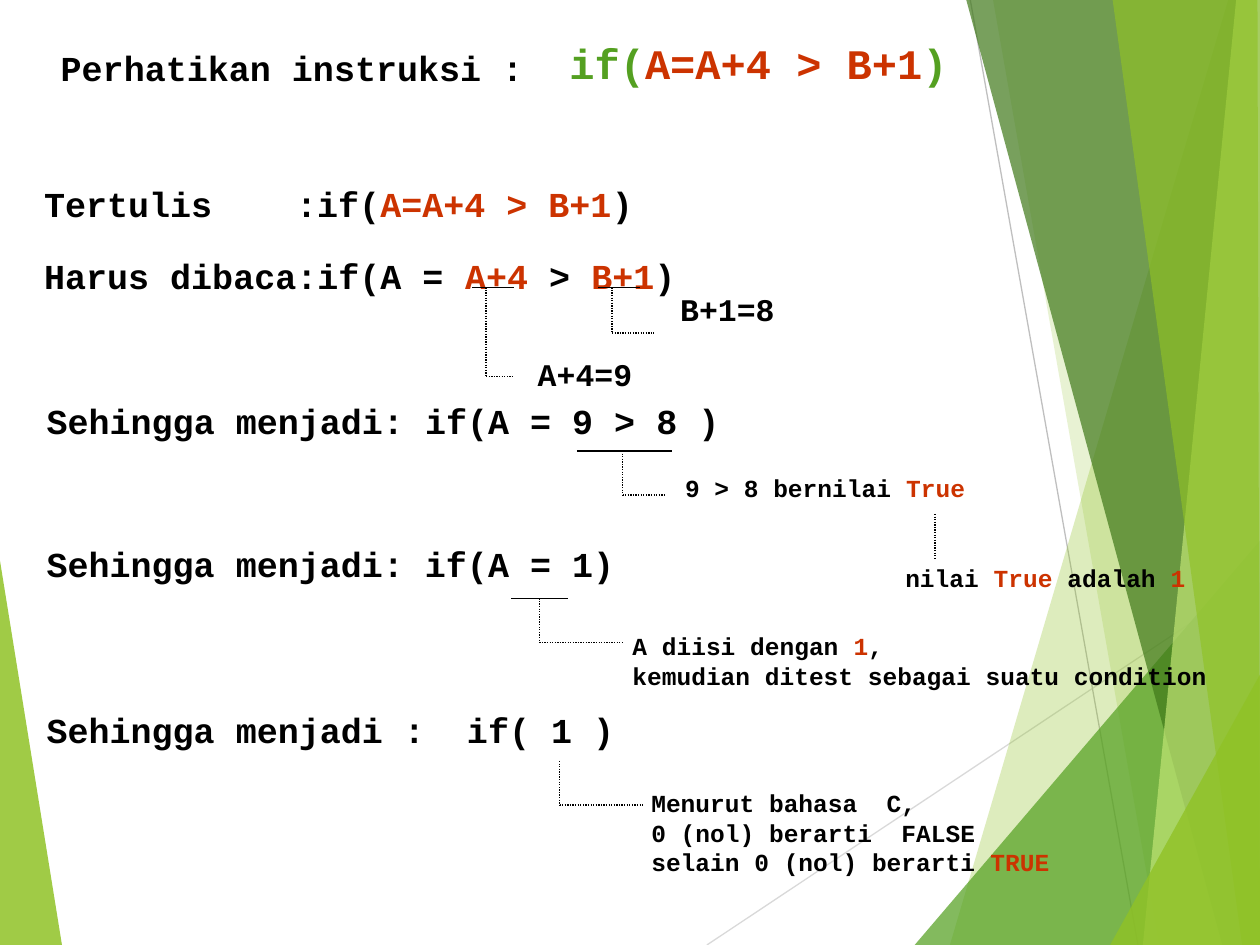
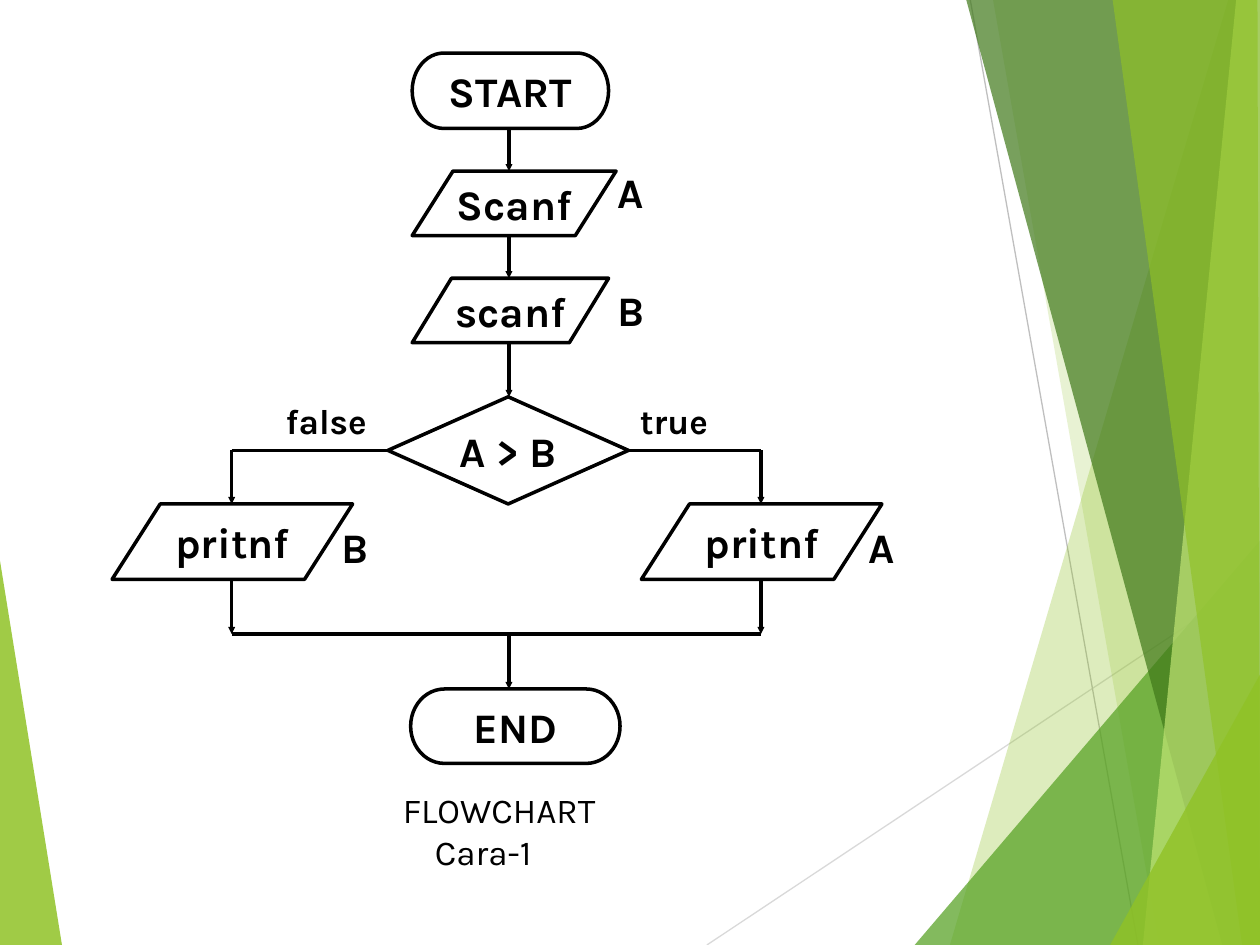
from pptx import Presentation
from pptx.dml.color import RGBColor
from pptx.enum.dml import MSO_LINE
from pptx.enum.shapes import MSO_CONNECTOR, MSO_SHAPE
from pptx.enum.text import MSO_ANCHOR, MSO_AUTO_SIZE, PP_ALIGN
from pptx.oxml.ns import qn
from pptx.util import Cm, Pt
from lxml import etree

STRAIGHT = MSO_CONNECTOR.STRAIGHT
DOTS = MSO_LINE.ROUND_DOT
PILL = MSO_SHAPE.FLOWCHART_TERMINATOR
DATA = MSO_SHAPE.FLOWCHART_DATA
TEST = MSO_SHAPE.FLOWCHART_DECISION
TOP, MIDDLE = MSO_ANCHOR.TOP, MSO_ANCHOR.MIDDLE
GROW, FIXED = MSO_AUTO_SIZE.SHAPE_TO_FIT_TEXT, MSO_AUTO_SIZE.NONE
LEFT, CENTER = PP_ALIGN.LEFT, PP_ALIGN.CENTER

WIDE, HIGH = 25.4, 19.05
ROOM = 0.5
CODE, SANS = "Courier New", "Karla"
COLORS = {
    "ink": "000000", "red": "CC3300", "green": "54A021", "lime": "90C226",
    "dark": "3F7819", "pale": "C0E474", "gray": "BFBFBF", "mist": "D9D9D9",
}


def rgb(name):
    return RGBColor.from_string(COLORS[name])


def write(frame, text, font=CODE, size=20, ink="ink", bold=True, align=LEFT,
          space=None, stop=None, anchor=TOP, wrap=True, fit=GROW):
    """Fill a frame; parts between bars are red, stop is a tab stop in cm."""
    frame.word_wrap = wrap
    frame.auto_size = fit
    frame.vertical_anchor = anchor
    for i, line in enumerate(text.split("\n")):
        para = frame.add_paragraph() if i else frame.paragraphs[0]
        para.alignment = align
        if space:
            para.line_spacing = space
        if stop:
            tabs = etree.SubElement(para._p.get_or_add_pPr(), qn("a:tabLst"))
            etree.SubElement(tabs, qn("a:tab"), pos=str(Cm(stop)), algn="l")
        for j, part in enumerate(line.split("|")):
            if not part:
                continue
            run = para.add_run()
            run.text = part
            run.font.name, run.font.size, run.font.bold = font, Pt(size), bold
            run.font.color.rgb = rgb("red" if j % 2 else ink)


def measure(text, size, space=1):
    """Width and height in cm of a box that holds monospaced text."""
    lines = text.replace("|", "").split("\n")
    em = size * 2.54 / 72
    return (max(map(len, lines)) * 0.6 * em + 0.51,
            len(lines) * 1.2 * em * space + 0.25)


def label(slide, x, y, text, wide=None, size=20, space=None, **style):
    width, height = measure(text, size, space or 1)
    box = slide.shapes.add_textbox(Cm(x), Cm(y), Cm((wide or width) + ROOM), Cm(height))
    write(box.text_frame, text, size=size, space=space, **style)


def draw(shapes, x1, y1, x2, y2, color="ink", width=0.75, dash=None, arrow=False):
    line = shapes.add_connector(STRAIGHT, Cm(x1), Cm(y1), Cm(x2), Cm(y2))
    line.line.color.rgb = rgb(color)
    line.line.width = Pt(width)
    if dash:
        line.line.dash_style = dash
    props = line.element.spPr
    if arrow:
        etree.SubElement(props.find(qn("a:ln")), qn("a:tailEnd"),
                         type="triangle", w="sm", len="sm")
    etree.SubElement(props, qn("a:effectLst"))


def facet(shapes, color, alpha, points):
    start, *rest = [(Cm(x), Cm(y)) for x, y in points]
    pen = shapes.build_freeform(*start, scale=1.0)
    pen.add_line_segments(rest, close=True)
    shape = pen.convert_to_shape()
    shape.shadow.inherit = False
    shape.line.fill.background()
    shape.fill.solid()
    shape.fill.fore_color.rgb = rgb(color)
    tone = shape.element.spPr.find(".//" + qn("a:srgbClr"))
    etree.SubElement(tone, qn("a:alpha"), val=str(alpha * 1000))


def backdrop(slide, master):
    """Draw the facets on a slide, then hand them to the master."""
    group = slide.shapes.add_group_shape()
    shapes = group.shapes

    def band(color, alpha, top, low, edge=WIDE):
        facet(shapes, color, alpha, [(top, 0), (low, HIGH), (WIDE, HIGH), (edge, 0)])

    def corner(color, alpha, low, side):
        facet(shapes, color, alpha, [(low, HIGH), (WIDE, side), (WIDE, HIGH)])

    facet(shapes, "lime", 85, [(0, 11.3), (1.25, HIGH), (0, HIGH)])
    draw(shapes, 14.25, HIGH, WIDE, 11.63, "mist")
    draw(shapes, 19.56, 0, 22.94, HIGH, "gray")
    band("lime", 30, 24.76, 19.15)
    band("lime", 20, 20.02, 23.37)
    corner("green", 72, 18.44, 10.9)
    band("dark", 70, 19.48, 24.64)
    band("pale", 70, 24.92, 23.04)
    band("lime", 65, 22.43, 25.04, 25.35)
    corner("lime", 80, 22.38, 13.6)

    master.shapes.element.append(group.element)
    for i, node in enumerate(group.element.iter(qn("p:cNvPr")), 20):
        node.set("id", str(i))


def header(slide, left, top):
    text = "Perhatikan instruksi :"
    title = slide.shapes.title
    width, height = measure(text, 20)
    title.left, title.top = Cm(left), Cm(top + 0.17)
    title.width, title.height = Cm(width + ROOM), Cm(height)
    write(title.text_frame, text)
    label(slide, left + 10.26, top, "if(|A=A+4 > B+1|)", size=24, ink="green")


def callout(slide, x, y, drop, reach, text, shift, bar=None, size=14):
    """Dotted elbow from (x, y) to a note; shift is the note's offset."""
    shapes = slide.shapes
    end, low = x + reach, y + drop
    if bar:
        draw(shapes, x - bar[0], y, x + bar[1], y)
    draw(shapes, x, y, x, low, dash=DOTS)
    if reach:
        draw(shapes, x, low, end, low, dash=DOTS)
    label(slide, end + shift[0], low + shift[1], text, size=size)


def trace(slide, left, top):
    label(slide, left, top,
          "Tertulis\t:if(|A=A+4 > B+1|)\nHarus dibaca:if(A = |A+4| > |B+1|)",
          space=1.7, stop=5.08)
    steps = [
        (4.95, "Sehingga menjadi: if(A = 9 > 8 )"),
        (7.85, "Sehingga menjadi: if(A = 1)"),
        (11.18, "Sehingga menjadi :  if( 1 )"),
    ]
    for y, text in steps:
        label(slide, left + 0.05, top + y, text)
    notes = [
        (9.16, 2.82, 1.8, 0.56, "A+4=9", (0.23, -0.55), (0.28, 0.56), 18),
        (11.7, 2.82, 0.92, 0.84, "B+1=8", (0.28, -0.99), (0.28, 0.56), 18),
        (11.91, 6.12, 0.89, 0.86, "9 > 8 bernilai |True|", (0.15, -0.56), (0.92, 0.99)),
        (18.21, 7.39, 0.89, 0, "nilai |True| adalah |1|", (-0.85, -0.02)),
        (10.23, 9.09, 0.89, 1.7,
         "A diisi dengan |1|,\nkemudian ditest sebagai suatu condition",
         (-0.07, -0.35), (0.56, 0.59)),
        (10.64, 12.37, 0.89, 1.67,
         "Menurut bahasa  C,\n0 (nol) berarti  FALSE\nselain 0 (nol) berarti |TRUE|",
         (-0.07, -0.46)),
    ]
    for x, y, *rest in notes:
        callout(slide, left + x, top + y, *rest)


def node(slide, kind, text, x, y, wide, high):
    shape = slide.shapes.add_shape(kind, Cm(x), Cm(y), Cm(wide), Cm(high))
    shape.shadow.inherit = False
    shape.fill.background()
    shape.line.color.rgb = rgb("ink")
    shape.line.width = Pt(2)
    write(shape.text_frame, text, font=SANS, size=24, align=CENTER,
          anchor=MIDDLE, wrap=False, fit=FIXED)


def flow(slide, left, top):
    axis, sides = 8.0, (2.41, 13.08)
    fork, join = 8.01, 11.71
    nodes = [
        (PILL, "START", 6.05, 0, 3.96, 1.52),
        (DATA, "Scanf", 6.05, 2.38, 4.11, 1.3),
        (DATA, "scanf", 6.05, 4.54, 3.96, 1.3),
        (TEST, "A > B", 5.56, 6.93, 4.85, 2.16),
        (DATA, "pritnf", 0, 9.09, 4.85, 1.52),
        (DATA, "pritnf", 10.67, 9.09, 4.85, 1.52),
        (PILL, "END", 6.02, 12.82, 4.22, 1.5),
    ]
    for kind, text, x, y, *size in nodes:
        node(slide, kind, text, left + x, top + y, *size)

    drops = [(axis, 1.52, 2.38), (axis, 3.68, 4.54), (axis, 5.84, 6.93),
             (axis, join, 12.82)]
    for x in sides:
        drops += [(x, fork, 9.09), (x, 10.61, join)]
    for x, y1, y2 in drops:
        draw(slide.shapes, left + x, top + y1, left + x, top + y2, width=2, arrow=True)
    for x1, x2, y in [(sides[0], 5.56, fork), (10.41, sides[1], fork), (*sides, join)]:
        draw(slide.shapes, left + x1, top + y, left + x2, top + y, width=2)

    tags = [
        ("A", 9.93, 2.16, 1.09, 24), ("B", 9.93, 4.54, 1.07, 24),
        ("B", 4.37, 9.32, 1.07, 24), ("A", 14.99, 9.32, 1.09, 24),
        ("false", 3.25, 6.85, 2.18, 20), ("true", 10.39, 6.85, 2.0, 20),
    ]
    for text, x, y, wide, size in tags:
        label(slide, left + x, top + y, text, wide=wide, size=size, font=SANS)
    label(slide, left + 5.61, top + 14.7, "FLOWCHART\n\tCara-1", wide=4.7,
          font=SANS, bold=False, stop=0.65)


def main():
    deck = Presentation()
    deck.slide_width, deck.slide_height = Cm(WIDE), Cm(HIGH)
    titled, blank = deck.slide_layouts[5], deck.slide_layouts[6]

    first = deck.slides.add_slide(titled)
    backdrop(first, deck.slide_master)
    header(first, 0.97, 0.64)
    trace(first, 0.64, 2.97)

    second = deck.slides.add_slide(blank)
    flow(second, 2.26, 1.07)
    deck.save("out.pptx")


if __name__ == "__main__":
    main()
